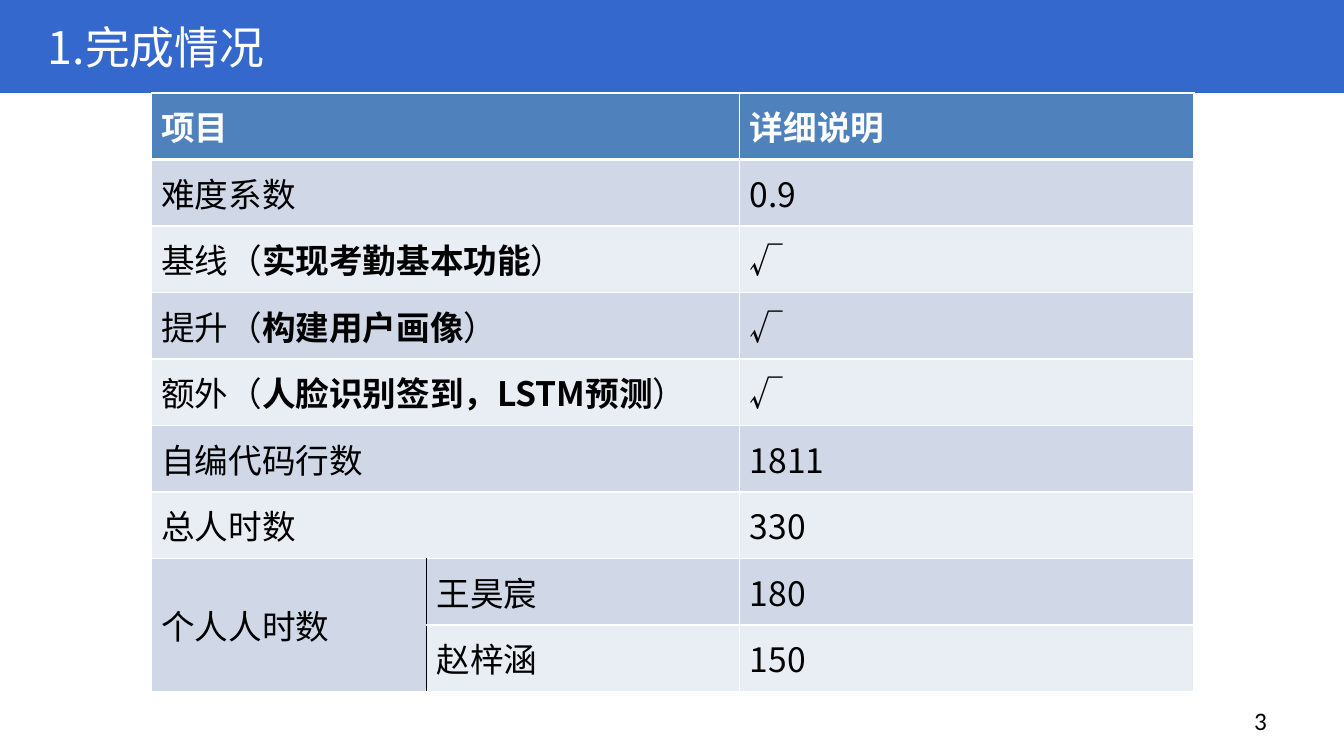
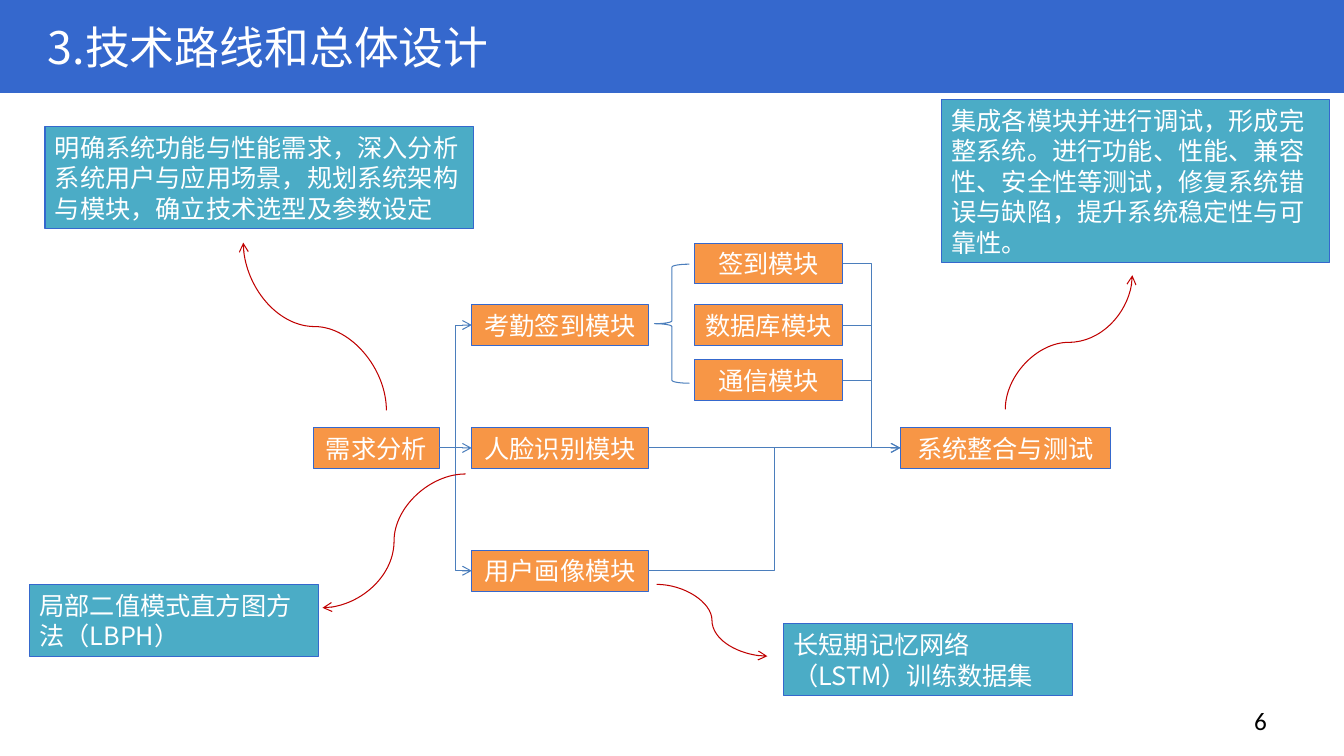
from dataclasses import dataclass

from lxml.etree import SubElement
from pptx import Presentation
from pptx.dml.color import RGBColor
from pptx.enum.shapes import MSO_CONNECTOR as Connector, MSO_SHAPE as Preset
from pptx.enum.text import MSO_ANCHOR as Anchor, MSO_AUTO_SIZE as AutoSize, PP_ALIGN as Align
from pptx.oxml.ns import qn
from pptx.oxml.xmlchemy import OxmlElement
from pptx.util import Inches, Pt

WIDTH, HEIGHT = Inches(13.33), Inches(7.5)
TITLE_ONLY = 5
TOP, LEFT, RIGHT = 0, 1, 3


@dataclass(frozen=True)
class Theme:
    band: str = "3568CD"
    white: str = "FFFFFF"
    black: str = "000000"
    header: str = "4F81BD"
    stripes: tuple = ("E9EDF4", "D0D8E8")
    step: str = "F79646"
    note: str = "4BACC6"
    flow: str = "4B7EBC"
    pointer: str = "C00000"
    title_font: str = "Noto Sans CJK JP"
    body_font: str = "Noto Sans CJK SC"
    number_font: str = "Calibri"
    title_size: int = 32
    table_size: int = 24
    body_size: int = 18
    line_spacing: float = 21.8
    thin: float = 0.75


THEME = Theme()

SUMMARY = [
    ("项目", "详细说明"),
    ("难度系数", "0.9"),
    (("基线（", "实现考勤基本功能", "）"), "√"),
    (("提升（", "构建用户画像", "）"), "√"),
    (("额外（", "人脸识别签到，LSTM预测", "）"), "√"),
    ("自编代码行数", "1811"),
    ("总人时数", "330"),
]
PERSON_HOURS = [("王昊宸", "180"), ("赵梓涵", "150")]

STEP_COLUMNS = {"start": (23.3, 9.4), "module": (35.1, 13.15), "part": (51.65, 11.05), "end": (67, 15.6)}
MODULE_TOP, MODULE_PITCH, STEP_HEIGHT = 40.3, 16.25, 5.4
MIDDLE_TOP = MODULE_TOP + MODULE_PITCH
MODULES = ["考勤签到模块", "人脸识别模块", "用户画像模块"]
PARTS = [("签到模块", 32.15), ("数据库模块", MODULE_TOP), ("通信模块", 47.6)]

NOTES = [
    ("明确系统功能与性能需求，深入分析系统用户与应用场景，规划系统架构与模块，确立技术选型及参数设定", (3.35, 16.75, 31.9, 13.5)),
    ("集成各模块并进行调试，形成完整系统。进行功能、性能、兼容性、安全性等测试，修复系统错误与缺陷，提升系统稳定性与可靠性。", (70.05, 13.2, 28.9, 21.5)),
    ("局部二值模式直方图方法（LBPH）", (2.2, 77.3, 21.5, 9.5)),
    ("长短期记忆网络（LSTM）训练数据集", (58.3, 82.5, 21.5, 9.5)),
]
RISING_POINTERS = [((28.75, 54.3), (18.1, 32.1)), ((74.8, 54.15), (84.25, 36.4))]
LEVEL_POINTERS = [((34.65, 62.7), (24, 80.4)), ((48.85, 77.3), (57.1, 86.8))]


def across(percent):
    return round(WIDTH * percent / 100)


def down(percent):
    return round(HEIGHT * percent / 100)


def area(left, top, width, height):
    return across(left), down(top), across(width), down(height)


def rgb(code):
    return RGBColor.from_string(code)


def add_run(paragraph, text, size, color, font=THEME.body_font, bold=False):
    run = paragraph.add_run()
    run.text = text
    run.font.size = Pt(size)
    run.font.bold = bold
    run.font.color.rgb = rgb(color)
    run.font.name = font
    SubElement(run._r.get_or_add_rPr(), qn("a:ea")).set("typeface", font)


def add_box(slide, bounds, fill=None, line=None, preset=Preset.RECTANGLE):
    shape = slide.shapes.add_shape(preset, *area(*bounds))
    shape.shadow.inherit = False
    if fill:
        shape.fill.solid()
        shape.fill.fore_color.rgb = rgb(fill)
    else:
        shape.fill.background()
    if line:
        shape.line.color.rgb = rgb(line)
        shape.line.width = Pt(THEME.thin)
    else:
        shape.line.fill.background()
    return shape


def add_text_block(slide, text, bounds, fill, align, wrap):
    shape = add_box(slide, bounds, fill, THEME.band)
    frame = shape.text_frame
    frame.word_wrap = wrap
    frame.vertical_anchor = Anchor.MIDDLE
    paragraph = frame.paragraphs[0]
    paragraph.alignment = align
    paragraph.line_spacing = Pt(THEME.line_spacing)
    add_run(paragraph, text, THEME.body_size, THEME.white)
    return shape


def add_step(slide, text, column, top):
    left, width = STEP_COLUMNS[column]
    return add_text_block(slide, text, (left, top, width, STEP_HEIGHT), THEME.step, Align.CENTER, False)


def add_line(slide, kind, begin, end, color, arrow):
    connector = slide.shapes.add_connector(kind, *begin, *end)
    connector.line.color.rgb = rgb(color)
    connector.line.width = Pt(THEME.thin)
    SubElement(connector.element.spPr, qn("a:effectLst"))
    if arrow:
        SubElement(connector.line._get_or_add_ln(), qn("a:tailEnd")).set("type", "arrow")
    return connector


def join(slide, source, target, arrow=True):
    begin = source.left + source.width, source.top + source.height // 2
    end = target.left, target.top + target.height // 2
    kind = Connector.STRAIGHT if begin[1] == end[1] else Connector.ELBOW
    connector = add_line(slide, kind, begin, end, THEME.flow, arrow)
    connector.begin_connect(source, RIGHT)
    connector.end_connect(target, LEFT)


def add_level_pointer(slide, begin, end):
    points = [(across(x), down(y)) for x, y in (begin, end)]
    add_line(slide, Connector.CURVE, *points, THEME.pointer, True)


def add_rising_pointer(slide, begin, end):
    (x1, y1), (x2, y2) = [(across(x), down(y)) for x, y in (begin, end)]
    center_x, center_y = (x1 + x2) // 2, (y1 + y2) // 2
    half_rise, half_run = (y1 - y2) // 2, (x2 - x1) // 2
    connector = add_line(
        slide, Connector.CURVE,
        (center_x - half_rise, center_y - half_run),
        (center_x + half_rise, center_y + half_run),
        THEME.pointer, True)
    connector.element.spPr.find(qn("a:xfrm")).set("rot", str(270 * 60000))


def add_titled_slide(presentation, title, number):
    slide = presentation.slides.add_slide(presentation.slide_layouts[TITLE_ONLY])
    placeholder = slide.shapes.title
    placeholder.left, placeholder.top, placeholder.width, placeholder.height = area(2.8, 1.5, 88.2, 9.2)
    frame = placeholder.text_frame
    frame.auto_size = AutoSize.NONE
    frame.vertical_anchor = Anchor.MIDDLE
    frame.paragraphs[0].alignment = Align.LEFT
    add_run(frame.paragraphs[0], title, THEME.title_size, THEME.white, THEME.title_font)

    frame = slide.shapes.add_textbox(*area(71.7, 92.7, 23.3, 5.3)).text_frame
    frame.word_wrap = True
    frame.vertical_anchor = Anchor.MIDDLE
    frame.paragraphs[0].alignment = Align.RIGHT
    add_run(frame.paragraphs[0], str(number), THEME.body_size, THEME.black, THEME.number_font)
    return slide


def add_band_to_layout(slide):
    band = add_box(slide, (0, 0, 100, 12.3), THEME.band)
    slide.slide_layout.shapes.element.insert(2, band.element)


def set_borders(cell, left=THEME.white, right=THEME.white, bottom_width=1):
    sides = [("a:lnL", left, 1), ("a:lnR", right, 1),
             ("a:lnT", THEME.white, 1), ("a:lnB", THEME.white, bottom_width)]
    properties = cell._tc.get_or_add_tcPr()
    for position, (tag, color, width) in enumerate(sides):
        border = OxmlElement(tag)
        border.set("w", str(Pt(width)))
        fill = SubElement(border, qn("a:solidFill"))
        SubElement(fill, qn("a:srgbClr")).set("val", color)
        properties.insert(position, border)


def fill_cell(cell, content, row):
    header = row == 0
    cell.vertical_anchor = Anchor.MIDDLE
    pieces = (content,) if isinstance(content, str) else content
    for index, piece in enumerate(pieces):
        add_run(cell.text_frame.paragraphs[0], piece, THEME.table_size,
                THEME.white if header else THEME.black, bold=header or index % 2 == 1)


def add_summary_table(slide):
    first_person = len(SUMMARY)
    row_count = first_person + len(PERSON_HOURS)
    row_height, column_widths = 8.8, (20.5, 23.3, 33.8)
    bounds = area(11.25, 12.3, sum(column_widths), row_height * row_count)
    table = slide.shapes.add_table(row_count, len(column_widths), *bounds).table
    table.horz_banding = False
    for column, width in zip(table.columns, column_widths):
        column.width = across(width)
    for index, row in enumerate(table.rows):
        row.height = down(row_height)
        for column, cell in enumerate(row.cells):
            cell.fill.solid()
            cell.fill.fore_color.rgb = rgb(THEME.stripes[index % 2] if index else THEME.header)
            personal = index >= first_person
            set_borders(cell,
                        left=THEME.black if personal and column == 1 else THEME.white,
                        right=THEME.black if personal and column == 0 else THEME.white,
                        bottom_width=1 if index else 3)

    for index, (item, detail) in enumerate(SUMMARY):
        table.cell(index, 0).merge(table.cell(index, 1))
        fill_cell(table.cell(index, 0), item, index)
        fill_cell(table.cell(index, 2), detail, index)
    table.cell(first_person, 0).merge(table.cell(row_count - 1, 0))
    fill_cell(table.cell(first_person, 0), "个人人时数", first_person)
    for index, (person, hours) in enumerate(PERSON_HOURS, first_person):
        fill_cell(table.cell(index, 1), person, index)
        fill_cell(table.cell(index, 2), hours, index)


def add_flow(slide):
    start = add_step(slide, "需求分析", "start", MIDDLE_TOP)
    modules = [add_step(slide, text, "module", MODULE_TOP + MODULE_PITCH * index)
               for index, text in enumerate(MODULES)]
    parts = [add_step(slide, text, "part", top) for text, top in PARTS]
    finish = add_step(slide, "系统整合与测试", "end", MIDDLE_TOP)
    for module in modules:
        join(slide, start, module)
    add_box(slide, (48.7, 34.95, 2.6, 15.75), line=THEME.flow, preset=Preset.LEFT_BRACE)
    for module in modules[1:]:
        join(slide, module, finish, arrow=module is modules[-1])
    for part in parts:
        join(slide, part, finish, arrow=part is parts[0])


def add_notes(slide):
    for text, bounds in NOTES:
        add_text_block(slide, text, bounds, THEME.note, Align.LEFT, True)
    for begin, end in RISING_POINTERS:
        add_rising_pointer(slide, begin, end)
    for begin, end in LEVEL_POINTERS:
        add_level_pointer(slide, begin, end)


def main():
    presentation = Presentation()
    presentation.slide_width, presentation.slide_height = WIDTH, HEIGHT

    completion = add_titled_slide(presentation, "1.完成情况", 3)
    add_band_to_layout(completion)
    add_summary_table(completion)

    design = add_titled_slide(presentation, "3.技术路线和总体设计", 6)
    add_flow(design)
    add_notes(design)

    presentation.save("out.pptx")


if __name__ == "__main__":
    main()
